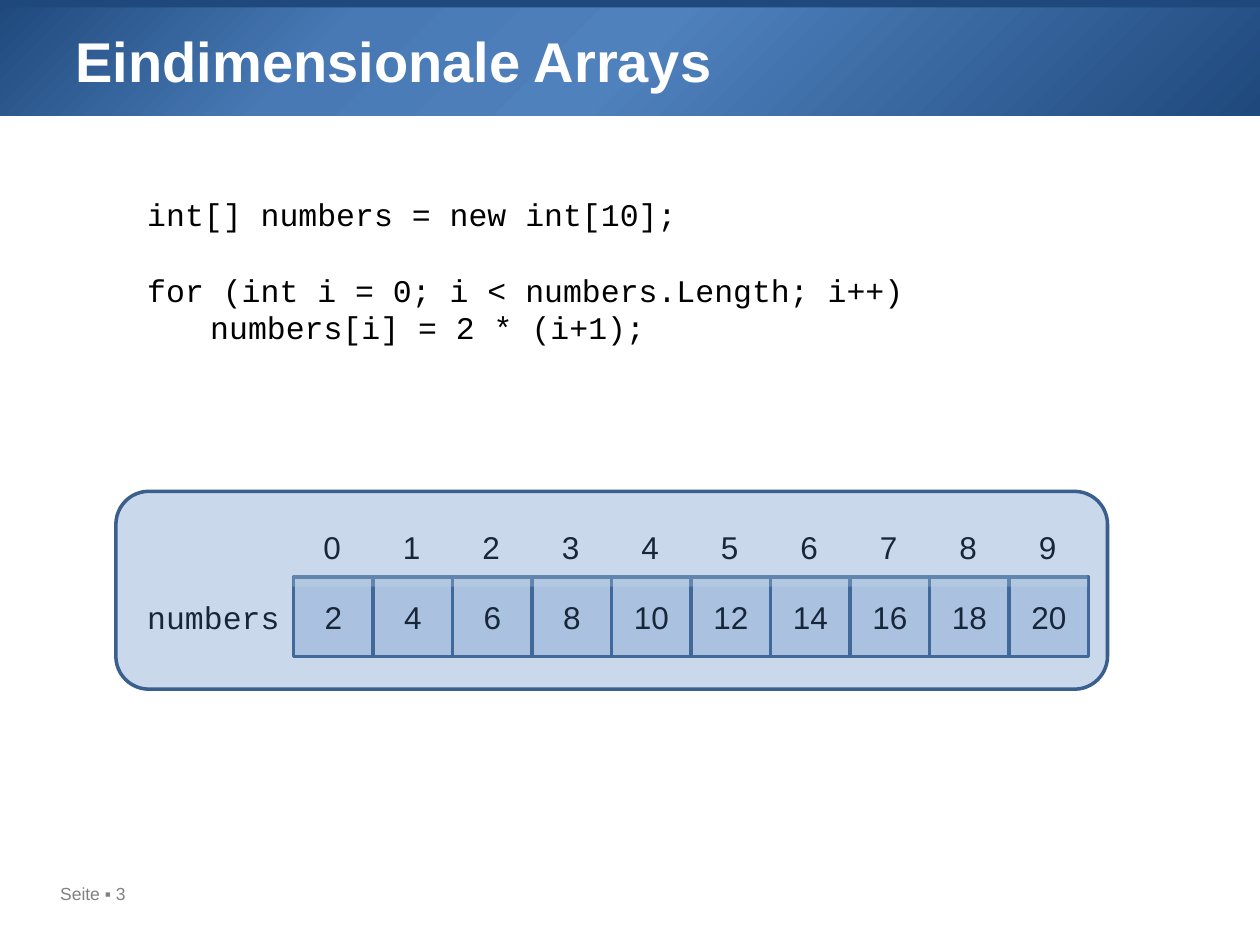
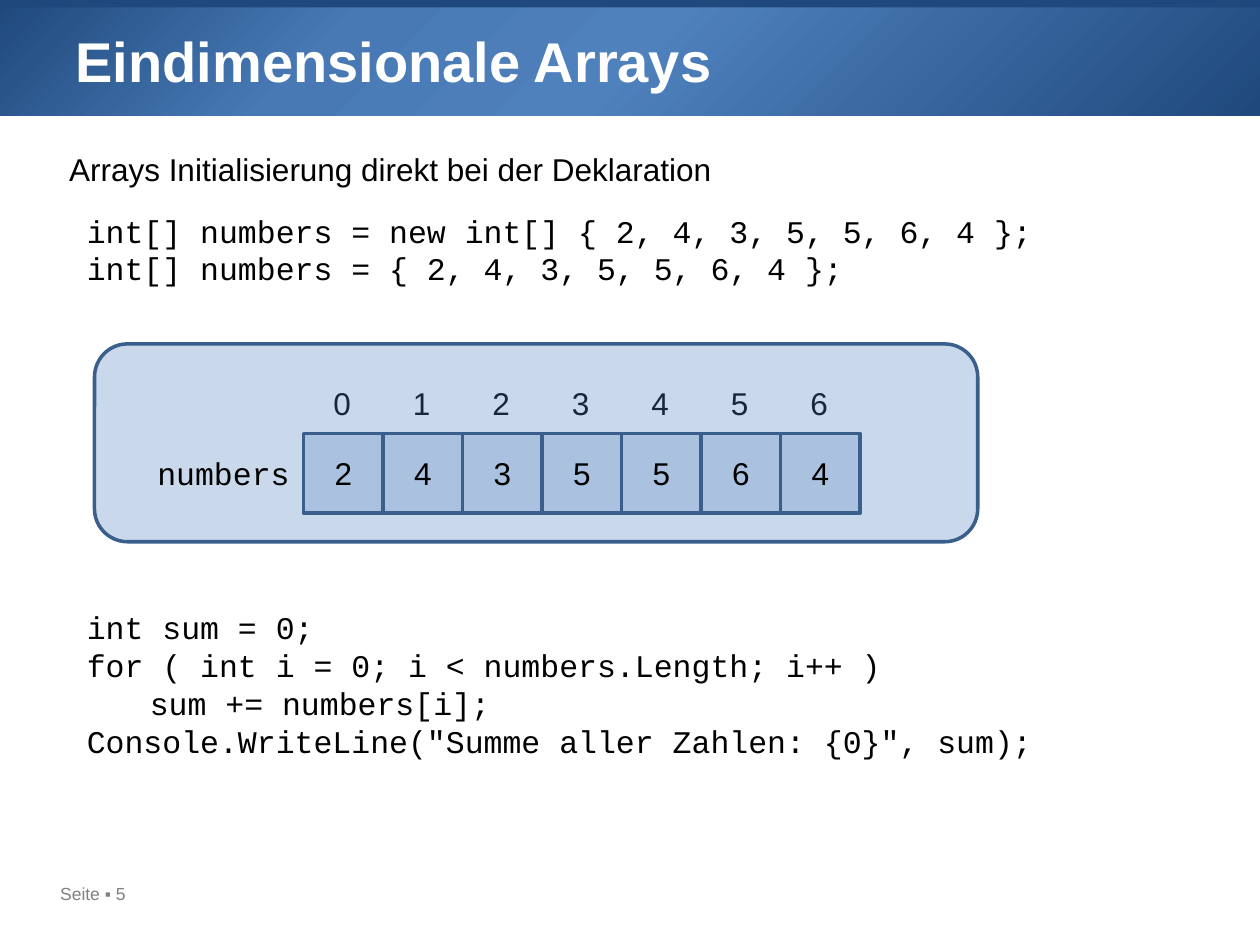
from dataclasses import dataclass
from lxml import etree
from pptx import Presentation
from pptx.dml.color import RGBColor
from pptx.enum.shapes import MSO_SHAPE
from pptx.enum.text import MSO_ANCHOR, PP_ALIGN
from pptx.oxml.ns import qn
from pptx.util import Inches, Pt

COLORS = {
    "navy": "1F497D",
    "steel": "4879B4",
    "blue": "4F81BD",
    "outline": "3A5F8C",
    "white": "FFFFFF",
    "black": "000000",
    "gray": "808080",
}
BAND_STOPS = [(0, "navy"), (27, "steel"), (50, "blue"), (100, "navy")]
SANS, MONO = "Arial", "Courier New"

# The slide is a grid of 100 columns and 75 rows
SLIDE_WIDTH, SLIDE_HEIGHT = Inches(10), Inches(7.5)
COLUMN, ROW = SLIDE_WIDTH / 100, SLIDE_HEIGHT / 75
CELL = 6.31
INDEX_RISE = 5.55


@dataclass(frozen=True)
class Area:
    left: float
    top: float
    width: float
    height: float

    def box(self) -> tuple[int, int, int, int]:
        return (round(self.left * COLUMN), round(self.top * ROW),
                round(self.width * COLUMN), round(self.height * ROW))


@dataclass(frozen=True)
class TextStyle:
    font: str = SANS
    size: int = 18
    color: str = "black"
    bold: bool = False
    align: PP_ALIGN = PP_ALIGN.LEFT


@dataclass(frozen=True)
class CodeBlock:
    area: Area
    lines: tuple[str, ...]
    gap_before: int | None = None  # line that starts a new section


@dataclass(frozen=True)
class ArrayDiagram:
    panel: Area
    cells_left: float
    cells_top: float
    values: tuple[int, ...]
    panel_in_front: bool


@dataclass(frozen=True)
class ArraySlide:
    page: int
    diagram: ArrayDiagram
    code_blocks: tuple[CodeBlock, ...]
    heading: str = ""


CODE = TextStyle(font=MONO)
CENTERED = TextStyle(align=PP_ALIGN.CENTER)
TITLE = TextStyle(size=32, color="white", bold=True)
FOOTER = TextStyle(size=10, color="gray")
TITLE_TEXT = "Eindimensionale Arrays"

SLIDES = [
    ArraySlide(
        page=3,
        diagram=ArrayDiagram(Area(9.2, 39, 78.7, 15.7), 23.3, 45.8,
                             tuple(range(2, 21, 2)), panel_in_front=True),
        code_blocks=(
            CodeBlock(Area(10.7, 15, 81.1, 13.1), (
                "int[] numbers = new int[10];",
                "for (int i = 0; i < numbers.Length; i++)",
                "\tnumbers[i] = 2 * (i+1);",
            ), gap_before=1),
        ),
    ),
    ArraySlide(
        page=5,
        diagram=ArrayDiagram(Area(7.5, 27.3, 70.1, 15.7), 24.1, 34.4,
                             (2, 4, 3, 5, 5, 6, 4), panel_in_front=False),
        code_blocks=(
            CodeBlock(Area(5.9, 16.3, 79.5, 7.1), (
                "int[] numbers = new int[] { 2, 4, 3, 5, 5, 6, 4 };",
                "int[] numbers = { 2, 4, 3, 5, 5, 6, 4 };",
            )),
            CodeBlock(Area(5.9, 47.8, 79.5, 13.1), (
                "int sum = 0;",
                "for ( int i = 0; i < numbers.Length; i++ )",
                "\tsum += numbers[i];",
                'Console.WriteLine("Summe aller Zahlen: {0}", sum);',
            )),
        ),
        heading="Arrays Initialisierung direkt bei der Deklaration",
    ),
]


def rgb(name: str) -> RGBColor:
    return RGBColor.from_string(COLORS[name])


def write_lines(text_frame, lines: tuple[str, ...], style: TextStyle) -> None:
    for number, line in enumerate(lines):
        paragraph = text_frame.paragraphs[0] if number == 0 else text_frame.add_paragraph()
        paragraph.text = line
        paragraph.alignment = style.align
        font = paragraph.font
        font.name, font.size, font.bold = style.font, Pt(style.size), style.bold
        font.color.rgb = rgb(style.color)


def add_text(slide, area: Area, lines: tuple[str, ...], style: TextStyle, wrap: bool = True):
    text_frame = slide.shapes.add_textbox(*area.box()).text_frame
    text_frame.word_wrap = wrap
    write_lines(text_frame, lines, style)
    return text_frame


def add_block(slide, area: Area, fill: str, opacity: int = 100, outlined: bool = False,
              text: str = "", preset: MSO_SHAPE = MSO_SHAPE.RECTANGLE):
    shape = slide.shapes.add_shape(preset, *area.box())
    shape.shadow.inherit = False
    shape.fill.solid()
    shape.fill.fore_color.rgb = rgb(fill)
    if opacity < 100:
        color = shape.element.spPr.find(f"{qn('a:solidFill')}/{qn('a:srgbClr')}")
        etree.SubElement(color, qn("a:alpha"), val=str(opacity * 1000))
    if outlined:
        shape.line.color.rgb = rgb("outline")
        shape.line.width = Pt(2)
    else:
        shape.line.fill.background()
    if text:
        shape.text_frame.vertical_anchor = MSO_ANCHOR.MIDDLE
        write_lines(shape.text_frame, (text,), CENTERED)
    return shape


def apply_corner_gradient(shape) -> None:
    solid = shape.element.spPr.find(qn("a:solidFill"))
    gradient = etree.Element(qn("a:gradFill"), rotWithShape="1")
    stops = etree.SubElement(gradient, qn("a:gsLst"))
    for position, name in BAND_STOPS:
        stop = etree.SubElement(stops, qn("a:gs"), pos=str(position * 1000))
        etree.SubElement(stop, qn("a:srgbClr"), val=COLORS[name])
    path_fill = etree.SubElement(gradient, qn("a:path"), path="circle")
    etree.SubElement(path_fill, qn("a:fillToRect"), r="100000", b="100000")
    solid.getparent().replace(solid, gradient)


def add_master_bands(presentation, slide) -> None:
    """Build the header bands and place them behind everything on the master."""
    header = add_block(slide, Area(0, 0, 100, 9.2), "blue")
    apply_corner_gradient(header)
    strip = add_block(slide, Area(0, 0, 100, 0.6), "navy")
    master_tree = presentation.slide_master.shapes.element
    for position, band in enumerate((header, strip), start=2):
        master_tree.insert(position, band.element)


def add_title(slide) -> None:
    title = slide.shapes.title
    title.left, title.top, title.width, title.height = Area(5, 1.4, 90, 6.8).box()
    title.text_frame.vertical_anchor = MSO_ANCHOR.MIDDLE
    write_lines(title.text_frame, (TITLE_TEXT,), TITLE)


def add_panel(slide, diagram: ArrayDiagram) -> None:
    add_block(slide, diagram.panel, "blue", 30, outlined=True,
              preset=MSO_SHAPE.ROUNDED_RECTANGLE)


def add_cells(slide, diagram: ArrayDiagram) -> None:
    for index, value in enumerate(diagram.values):
        area = Area(diagram.cells_left + index * CELL, diagram.cells_top, CELL, CELL)
        add_block(slide, area, "blue", 25, outlined=True, text=str(value))


def add_indices(slide, diagram: ArrayDiagram) -> None:
    for index in range(len(diagram.values)):
        area = Area(diagram.cells_left - 0.1 + index * CELL,
                    diagram.cells_top - INDEX_RISE, CELL, CELL)
        add_block(slide, area, "white", 25, text=str(index))


def add_label(slide, diagram: ArrayDiagram) -> None:
    area = Area(diagram.cells_left - 12.6, diagram.cells_top + 1.15, 12.6, 4)
    add_text(slide, area, ("numbers",), CODE, wrap=False)


def add_diagram(slide, diagram: ArrayDiagram) -> None:
    if diagram.panel_in_front:
        parts = (add_cells, add_indices, add_label, add_panel)
    else:
        parts = (add_indices, add_panel, add_cells, add_label)
    for add_part in parts:
        add_part(slide, diagram)


def add_code(slide, block: CodeBlock) -> None:
    text_frame = add_text(slide, block.area, block.lines, CODE)
    if block.gap_before is not None:
        text_frame.paragraphs[block.gap_before].space_before = Pt(21.5)


def main() -> None:
    presentation = Presentation()
    presentation.slide_width, presentation.slide_height = SLIDE_WIDTH, SLIDE_HEIGHT
    title_only = presentation.slide_layouts[5]

    for number, content in enumerate(SLIDES):
        slide = presentation.slides.add_slide(title_only)
        if number == 0:
            add_master_bands(presentation, slide)
        add_title(slide)
        if content.heading:
            add_text(slide, Area(4.5, 11.4, 54.2, 4), (content.heading,), SANS_TEXT, wrap=False)
        for block in content.code_blocks:
            add_code(slide, block)
        add_diagram(slide, content.diagram)
        add_text(slide, Area(3.8, 69.6, 14.7, 2.7), (f"Seite ▪ {content.page}",), FOOTER)

    presentation.save("out.pptx")


SANS_TEXT = TextStyle()

if __name__ == "__main__":
    main()
